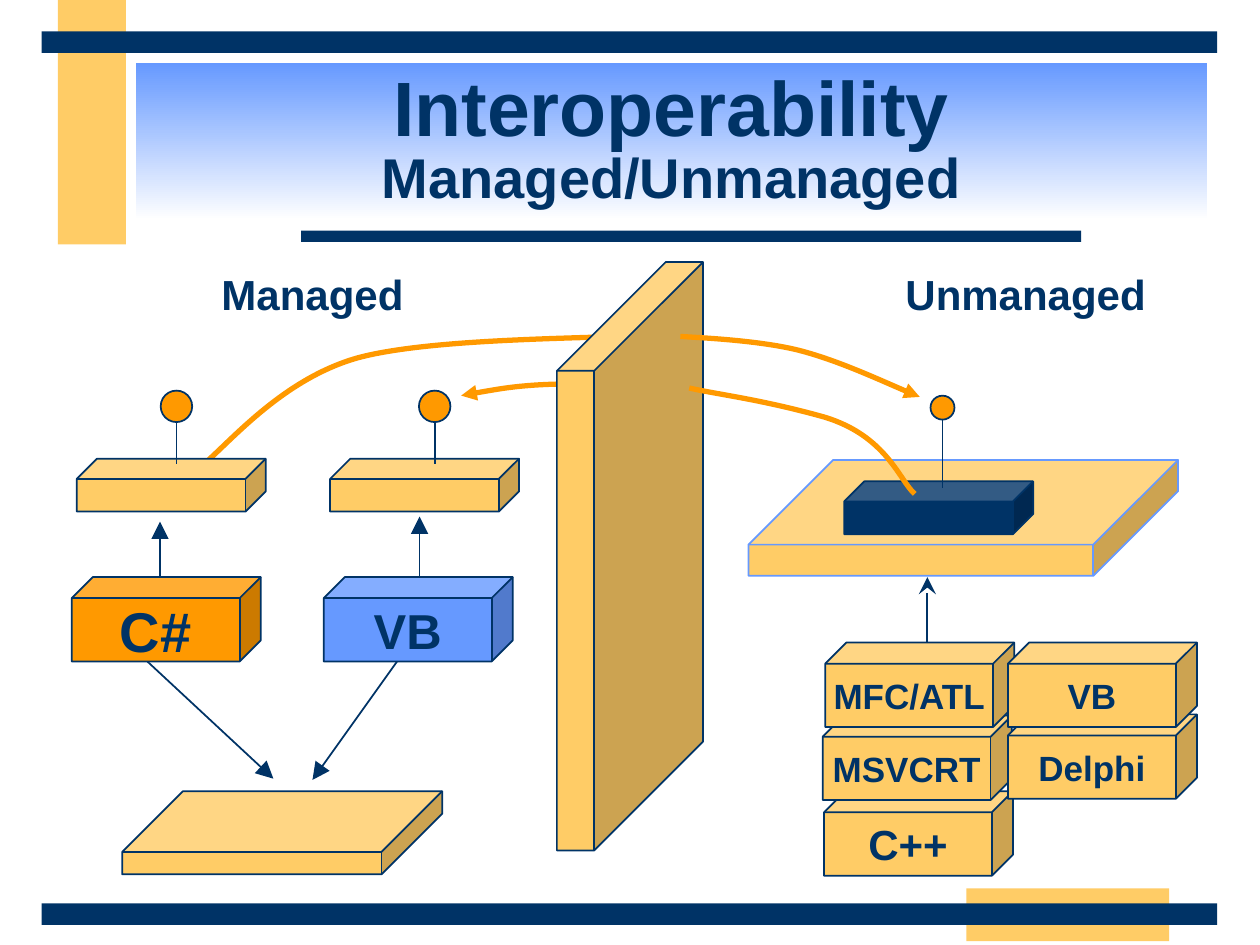
from lxml import etree
from pptx import Presentation
from pptx.dml.color import RGBColor
from pptx.enum.shapes import MSO_CONNECTOR, MSO_SHAPE
from pptx.enum.text import MSO_ANCHOR, MSO_AUTO_SIZE, PP_ALIGN
from pptx.oxml.ns import qn
from pptx.util import Inches, Pt

NAVY, SAND, ORANGE, BLUE, WHITE = "003366", "FFCC66", "FF9900", "6699FF", "FFFFFF"


def color(hex_string):
    return RGBColor.from_string(hex_string)


def style_text(p, *sizes):
    p.alignment = PP_ALIGN.CENTER
    for r, size in zip(p.runs, sizes):
        r.font.name, r.font.size, r.font.bold = "Arial", Pt(size), True
        r.font.color.rgb = color(NAVY)


def add_shape(s, kind, x, y, w, h, fill, line=None):
    sp = s.shapes.add_shape(kind, Inches(x), Inches(y), Inches(w), Inches(h))
    sp.shadow.inherit = False
    sp.fill.solid()
    sp.fill.fore_color.rgb = color(fill)
    if line:
        sp.line.color.rgb = color(line)
        sp.line.width = Pt(1)
    else:
        sp.line.fill.background()
    return sp


def add_cube(s, x, y, w, h, depth, fill=SAND, line=NAVY, text=None, size=20):
    sp = add_shape(s, MSO_SHAPE.CUBE, x, y, w, h, fill, line)
    sp.adjustments[0] = depth
    if text:
        tf = sp.text_frame
        tf.text = text
        tf.word_wrap = False
        tf.vertical_anchor = MSO_ANCHOR.MIDDLE
        style_text(tf.paragraphs[0], size)


def add_arrowhead(sp, kind, size="med"):
    etree.SubElement(sp.line._get_or_add_ln(), qn("a:tailEnd"),
                     type=kind, w=size, len=size)


def add_line(s, x1, y1, x2, y2, head=None):
    cx = s.shapes.add_connector(MSO_CONNECTOR.STRAIGHT, Inches(x1), Inches(y1),
                                Inches(x2), Inches(y2))
    cx.line.color.rgb = color(NAVY)
    cx.line.width = Pt(1)
    if head:
        add_arrowhead(cx, head, "lg")
    etree.SubElement(cx._element.spPr, qn("a:effectLst"))


def add_curve(s, x, y, points, head=None):
    """Bezier curve: a start point, then three points for each segment."""
    pts = [(Inches(x + dx), Inches(y + dy)) for dx, dy in points]
    builder = s.shapes.build_freeform(*pts[0])
    builder.add_line_segments(pts[1:], close=False)
    sp = builder.convert_to_shape()
    # Join each three line segments into one cubic segment
    segments = list(sp._element.iter(qn("a:lnTo")))
    for i in range(0, len(segments), 3):
        cubic = etree.Element(qn("a:cubicBezTo"))
        segments[i].addprevious(cubic)
        for segment in segments[i:i + 3]:
            cubic.append(segment[0])
            segment.getparent().remove(segment)
    sp.shadow.inherit = False
    sp.fill.background()
    sp.line.color.rgb = color(ORANGE)
    sp.line.width = Pt(3)
    if head:
        add_arrowhead(sp, head)


def add_label(s, x, y, w, h, text):
    tf = s.shapes.add_textbox(Inches(x), Inches(y), Inches(w), Inches(h)).text_frame
    tf.text = text
    tf.word_wrap = False
    tf.auto_size = MSO_AUTO_SIZE.SHAPE_TO_FIT_TEXT
    style_text(tf.paragraphs[0], 24)


def add_lollipop(s, x, y, d, stem):
    """Interface symbol: a ball on a stem, centred on x."""
    add_line(s, x, y + d / 2, x, y + stem)
    add_shape(s, MSO_SHAPE.OVAL, x - d / 2, y, d, d, ORANGE, NAVY)


def draw_frame(s, x, y, w, h):
    bars = [(0.46, 0, 0.54, 1.94, SAND), (7.67, h - 0.45, 1.61, 0.42, SAND),
            (2.39, 1.83, 6.19, 0.09, NAVY), (0.33, h - 0.33, w - 0.67, 0.17, NAVY),
            (0.33, 0.25, w - 0.67, 0.17, NAVY)]
    for dx, dy, bw, bh, fill in bars:
        add_shape(s, MSO_SHAPE.RECTANGLE, x + dx, y + dy, bw, bh, fill)


def draw_title(s, x, y, w, h):
    sp = add_shape(s, MSO_SHAPE.RECTANGLE, x, y, w, h, BLUE)
    sp.fill.gradient()
    sp.fill.gradient_angle = 270
    for stop, position, shade in zip(sp.fill.gradient_stops, (0, 1), (BLUE, WHITE)):
        stop.position = position
        stop.color.rgb = color(shade)
    tf = sp.text_frame
    tf.word_wrap = True
    tf.vertical_anchor = MSO_ANCHOR.MIDDLE
    p = tf.paragraphs[0]
    p.text = "Interoperability\vManaged/Unmanaged"
    p.line_spacing = 0.85
    style_text(p, 44, 32)


def draw_wall(s, x, y, w, h):
    # Calls that pass behind the wall
    add_curve(s, x, y, [(0.96, 1), (0.6, 0.98), (0.25, 0.96), (-0.04, 0.97),
                        (-0.32, 0.98), (-0.54, 1.02), (-0.76, 1.06)], "triangle")
    add_curve(s, x, y, [(-2.86, 1.65), (-2.65, 1.5), (-2.22, 0.94), (-1.58, 0.76),
                        (-0.95, 0.59), (0.42, 0.61), (0.95, 0.57)])
    add_cube(s, x, y, w, h, 0.745)


def draw_managed(s, x, y):
    # Languages compile to the shared base
    add_line(s, x + 2.76, y + 2.92, x + 1.91, y + 4.11, "triangle")
    add_line(s, x + 0.6, y + 3.17, x + 1.6, y + 4.1, "triangle")
    add_cube(s, x + 0.4, y + 4.2, 2.54, 0.66, 0.731)
    # Language, component and interface in each column
    columns = [(0, "C#", 32, ORANGE, 0.04, 0.7, 2.06, 0.83),
               (2, "VB", 28, BLUE, 0.05, 0.76, 2.02, 0.88)]
    for dx, text, size, fill, slab, arrow, tip, ball in columns:
        left = x + dx
        add_line(s, left + arrow, y + tip + 0.66, left + arrow, y + tip, "triangle")
        add_cube(s, left, y + 2.5, 1.5, 0.67, 0.25, fill, text=text, size=size)
        add_cube(s, left + slab, y + 1.56, 1.5, 0.42, 0.383)
        add_lollipop(s, left + ball, y + 1.02, 0.25, 0.58)
    add_label(s, x + 1.01, y, 1.8, 0.5, "Managed")


def draw_unmanaged(s, x, y):
    # Component on its platform
    add_line(s, x + 1.42, y + 3.08, x + 1.42, y + 2.5, "stealth")
    add_cube(s, x, y + 1.57, 3.41, 0.92, 0.731, line=BLUE)
    add_cube(s, x + 0.76, y + 1.74, 1.5, 0.42, 0.383, NAVY)
    add_lollipop(s, x + 1.54, y + 1.06, 0.19, 0.73)
    # Stacked languages and libraries, lowest first
    stack = [(0.6, 4.2, "C++", 24), (0.59, 3.6, "MSVCRT", 20),
             (0.61, 3.02, "MFC/ATL", 20), (2.06, 3.59, "Delphi", 20),
             (2.06, 3.02, "VB", 20)]
    for dx, dy, text, size in stack:
        add_cube(s, x + dx, y + dy, 1.5, 0.67, 0.25, text=text, size=size)
    add_label(s, x + 1.1, y, 2.2, 0.5, "Unmanaged")
    # Calls in front of the wall
    add_curve(s, x, y, [(-0.54, 0.59), (-0.39, 0.6), (0.08, 0.62), (0.4, 0.7),
                        (0.71, 0.78), (1.16, 0.99), (1.36, 1.07)], "triangle")
    add_curve(s, x, y, [(1.32, 1.84), (1.2, 1.74), (1.1, 1.38), (0.6, 1.23),
                        (0.1, 1.09), (-0.25, 1.05), (-0.47, 1)])


def main():
    prs = Presentation()
    prs.slide_width, prs.slide_height = Inches(10), Inches(7.5)
    s = prs.slides.add_slide(prs.slide_layouts[6])
    draw_frame(s, 0, 0, 10, 7.5)
    draw_title(s, 1.08, 0.5, 8.5, 1.25)
    draw_wall(s, 4.42, 2.08, 1.16, 4.67)
    draw_managed(s, 0.57, 2.08)
    draw_unmanaged(s, 5.94, 2.08)
    prs.save("out.pptx")


if __name__ == "__main__":
    main()
